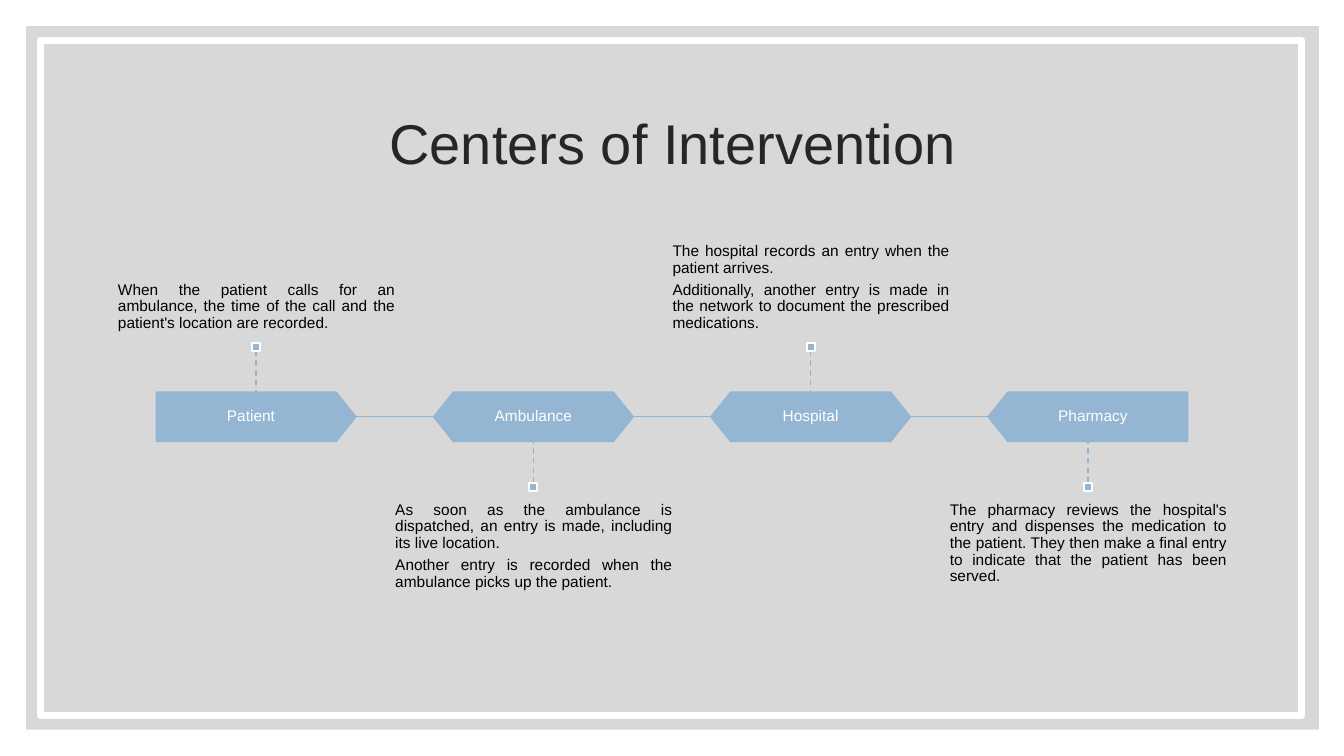
from lxml import etree
from pptx import Presentation
from pptx import util as u
from pptx.dml.color import RGBColor
from pptx.enum import dml, shapes, text
from pptx.oxml.ns import qn

TITLE = "Centers of Intervention"
STAGES = [
    ("Patient", [
        "When the patient calls for an ambulance, the time of the call and the "
        "patient's location are recorded."]),
    ("Ambulance", [
        "As soon as the ambulance is dispatched, an entry is made, including its live location.",
        "Another entry is recorded when the ambulance picks up the patient."]),
    ("Hospital", [
        "The hospital records an entry when the patient arrives.",
        "Additionally, another entry is made in the network to document the prescribed medications."]),
    ("Pharmacy", [
        "The pharmacy reviews the hospital's entry and dispenses the medication to the patient. "
        "They then make a final entry to indicate that the patient has been served."]),
]
COLORS = {"panel": "BFBFBF", "title": "262626", "stage": "94B6D2",
          "white": "FFFFFF", "body": "000000"}
FONT = "Arial"

PITCH = 2.75
NOTE_LEFT, NOTE_H = 1.17, 1.3
STAGE_LEFT, STAGE_TOP, STAGE_W, STAGE_H = 1.55, 3.89, 1.98, 0.49
POINT = 0.1
STEM, DOT = 0.41, 0.08
NOTE_ABOVE, NOTE_BELOW = 2.1, 4.87

MSO = shapes.MSO_SHAPE
ALIGN = text.PP_ALIGN
ANCHOR = text.MSO_ANCHOR


def rgb(name):
    return RGBColor.from_string(COLORS[name])


def add_box(s, kind, box, fill=None, line=None, width=1):
    sp = s.shapes.add_shape(kind, *map(u.Inches, box))
    sp.shadow.inherit = False
    if fill:
        sp.fill.solid()
        sp.fill.fore_color.rgb = rgb(fill)
    else:
        sp.fill.background()
    if line:
        sp.line.color.rgb = rgb(line)
        sp.line.width = u.Pt(width)
    else:
        sp.line.fill.background()
    return sp


def add_line(s, x1, y1, x2, y2, dash=None):
    ln = s.shapes.add_connector(shapes.MSO_CONNECTOR.STRAIGHT,
                                *map(u.Inches, (x1, y1, x2, y2)))
    ln.line.color.rgb = rgb("stage")
    ln.line.width = u.Pt(1)
    if dash:
        ln.line.dash_style = dash
    etree.SubElement(ln._element.spPr, qn("a:effectLst"))


def write(tf, paragraphs, size, color, align, anchor, space_after=0):
    tf.word_wrap = True
    tf.vertical_anchor = anchor
    for i, line in enumerate(paragraphs):
        p = tf.paragraphs[0] if i == 0 else tf.add_paragraph()
        p.alignment = align
        p.line_spacing = 0.9
        p.space_before = u.Pt(0)
        p.space_after = u.Pt(space_after)
        r = p.add_run()
        r.text = line
        r.font.name = FONT
        r.font.size = u.Pt(size)
        r.font.color.rgb = rgb(color)


def add_text(s, box, paragraphs, color, align, anchor, inset_x, inset_y):
    tf = s.shapes.add_textbox(*map(u.Inches, box)).text_frame
    tf.margin_left = tf.margin_right = u.Inches(inset_x)
    tf.margin_top = tf.margin_bottom = u.Inches(inset_y)
    write(tf, paragraphs, 11, color, align, anchor, 3.85)


def add_stage(s, i, name, notes):
    last = len(STAGES) - 1
    left = STAGE_LEFT + i * PITCH
    center = left + STAGE_W / 2
    bottom = STAGE_TOP + STAGE_H
    above = i % 2 == 0

    kind = MSO.PENTAGON if i in (0, last) else MSO.HEXAGON
    sp = add_box(s, kind, (left, STAGE_TOP, STAGE_W, STAGE_H), "stage", "stage")
    sp.adjustments[0] = 0.4
    if i == last:
        sp.rotation = 180

    label_left = left + (POINT if i == last else 0)
    label_w = STAGE_W - (POINT if i in (0, last) else 0)
    add_text(s, (label_left, STAGE_TOP, label_w, STAGE_H), [name], "white",
             ALIGN.CENTER, ANCHOR.MIDDLE, 0.09, 0.09)

    note_top = NOTE_ABOVE if above else NOTE_BELOW
    add_text(s, (NOTE_LEFT + i * PITCH, note_top, PITCH, NOTE_H), notes, "body",
             ALIGN.JUSTIFY, ANCHOR.BOTTOM if above else ANCHOR.TOP, 0, 0.11)

    if i < last:
        middle = STAGE_TOP + STAGE_H / 2
        add_line(s, left + STAGE_W, middle, left + PITCH, middle)

    near, far = (STAGE_TOP, STAGE_TOP - STEM) if above else (bottom, bottom + STEM)
    add_line(s, center, far, center, near, dml.MSO_LINE.DASH)
    dot_top = far - DOT if above else far
    add_box(s, MSO.RECTANGLE, (center - DOT / 2, dot_top, DOT, DOT), "stage", "white", 1.5)


def main():
    prs = Presentation()
    prs.slide_width, prs.slide_height = u.Inches(13.33), u.Inches(7.5)
    s = prs.slides.add_slide(prs.slide_layouts[5])

    panel = add_box(s, MSO.RECTANGLE, (0.26, 0.26, 12.82, 6.98), "panel")
    color = panel._element.spPr.find(qn("a:solidFill"))[0]
    etree.SubElement(color, qn("a:alpha"), val="60000")

    title = s.shapes.title
    title.left, title.top, title.width, title.height = map(u.Inches, (1.17, 0.7, 11, 1.5))
    write(title.text_frame, [TITLE], 40, "title", ALIGN.CENTER, ANCHOR.MIDDLE)
    panel._element.addnext(title._element)

    for i, (name, notes) in enumerate(STAGES):
        add_stage(s, i, name, notes)

    add_box(s, MSO.RECTANGLE, (0.4, 0.4, 12.51, 6.7), line="white", width=5)
    prs.save("out.pptx")


if __name__ == "__main__":
    main()
